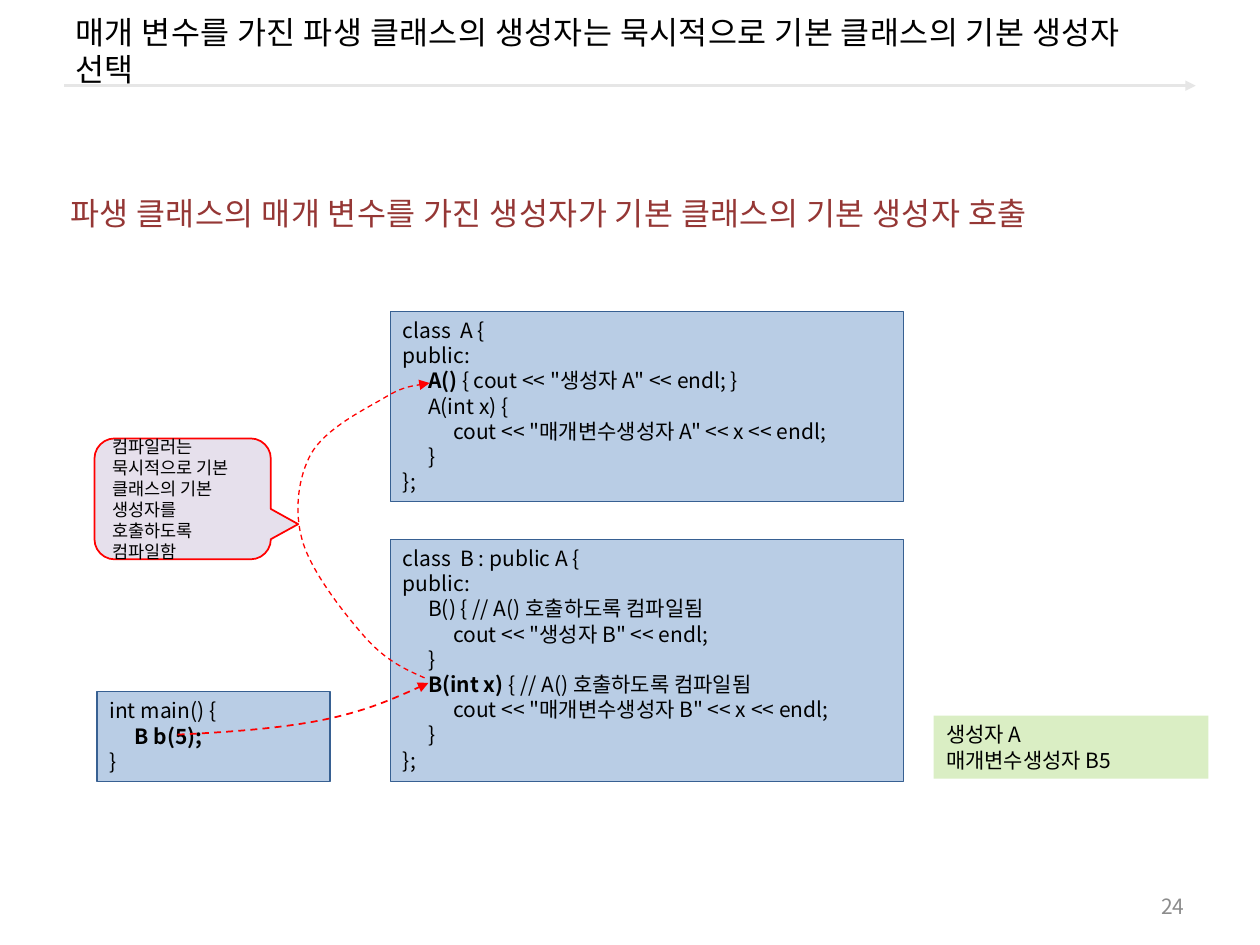
from dataclasses import dataclass

from lxml import etree
from pptx import Presentation
from pptx.dml.color import RGBColor
from pptx.enum.dml import MSO_LINE
from pptx.enum.shapes import MSO_CONNECTOR, MSO_SHAPE
from pptx.enum.text import MSO_ANCHOR, PP_ALIGN
from pptx.oxml.ns import qn
from pptx.util import Inches, Pt

RECTANGLE = MSO_SHAPE.RECTANGLE
CALLOUT = MSO_SHAPE.ROUNDED_RECTANGULAR_CALLOUT
STRAIGHT = MSO_CONNECTOR.STRAIGHT
DASH = MSO_LINE.DASH
TOP, MIDDLE = MSO_ANCHOR.TOP, MSO_ANCHOR.MIDDLE
LEFT, RIGHT = PP_ALIGN.LEFT, PP_ALIGN.RIGHT
TITLE_ONLY = 5


@dataclass(frozen=True)
class Theme:
    font: str = "Noto Sans CJK KR"
    heading_size: int = 18
    heading_tracking: int = 25
    code_size: int = 12
    note_size: int = 10
    line_height: float = 1.2
    tab_step: float = 0.2
    ink: str = "000000"
    heading: str = "953735"
    number: str = "8C8C8C"
    rule: str = "E6E6E6"
    code_fill: str = "B9CDE5"
    code_line: str = "376092"
    output_fill: str = "DAEEC4"
    note_fill: str = "E6E0EC"
    accent: str = "FF0000"


THEME = Theme()

CLASS_A = [
    "class  A {",
    "public:",
    "\t**A() **{ cout << \"생성자 A\" << endl; }",
    "\tA(int x) {",
    "\t\tcout << \"매개변수생성자 A\" << x << endl;",
    "\t}",
    "};",
]
CLASS_B = [
    "class  B : public A {",
    "public:",
    "\tB() { // A() 호출하도록 컴파일됨",
    "\t\tcout << \"생성자 B\" << endl;",
    "\t}",
    "\t**B(int x) **{ // A() 호출하도록 컴파일됨",
    "\t\tcout << \"매개변수생성자 B\" << x << endl;",
    "\t}",
    "};",
]
MAIN_CODE = ["int main() {", "\t**B b(5);**", "}"]
OUTPUT = ["생성자 A", "매개변수생성자 B5"]

CALL_TO_BASE = [
    (3.37, 5.38), (3.21, 5.31), (3.06, 5.24), (2.9, 5.06),
    (2.74, 4.88), (2.47, 4.54), (2.4, 4.29),
    (2.33, 4.05), (2.37, 3.78), (2.47, 3.6),
    (2.58, 3.41), (2.87, 3.26), (3.03, 3.17),
    (3.19, 3.07), (3.3, 3.06), (3.41, 3.04),
]
CALL_TO_DERIVED = [
    (1.41, 5.83), (1.83, 5.81), (2.24, 5.78), (2.58, 5.71),
    (2.91, 5.64), (3.16, 5.53), (3.4, 5.42),
]


def rgb(value):
    return RGBColor.from_string(value)


def inches(values):
    return [Inches(value) for value in values]


def add_tab_stops(para):
    tabs = etree.SubElement(para._p.get_or_add_pPr(), qn("a:tabLst"))
    for level in (1, 2):
        position = Inches(THEME.tab_step * level)
        etree.SubElement(tabs, qn("a:tab"), pos=str(position), algn="l")


def write(frame, lines, size, color=THEME.ink, anchor=TOP, align=LEFT):
    """Fill a text frame; parts between ** marks are bold."""
    frame.word_wrap = True
    frame.vertical_anchor = anchor
    for index, line in enumerate(lines):
        para = frame.add_paragraph() if index else frame.paragraphs[0]
        para.alignment = align
        para.line_spacing = Pt(size * THEME.line_height)
        para.space_before = para.space_after = Pt(0)
        if "\t" in line:
            add_tab_stops(para)
        for part, text in enumerate(line.split("**")):
            if not text:
                continue
            span = para.add_run()
            span.text = text
            font = span.font
            font.name = THEME.font
            font.size = Pt(size)
            font.bold = part % 2 == 1
            font.color.rgb = rgb(color)
            props = span._r.get_or_add_rPr()
            etree.SubElement(props, qn("a:ea"), typeface=THEME.font)
            if size == THEME.heading_size:
                props.set("spc", str(THEME.heading_tracking))


def add_title(page, text):
    title = page.shapes.title
    title.left, title.top, title.width, title.height = inches((0.5, 0.08, 9, 0.64))
    title.text_frame.margin_right = Inches(0.2)
    write(title.text_frame, [text], THEME.heading_size, anchor=MIDDLE)


def add_text(page, place, text, size, color, **layout):
    box = page.shapes.add_textbox(*inches(place))
    write(box.text_frame, [text], size, color, **layout)


def add_panel(page, place, lines, fill, line=None, width=0.75,
              kind=RECTANGLE, size=THEME.code_size, anchor=TOP):
    panel = page.shapes.add_shape(kind, *inches(place))
    panel.shadow.inherit = False
    panel.fill.solid()
    panel.fill.fore_color.rgb = rgb(fill)
    if line:
        panel.line.color.rgb = rgb(line)
        panel.line.width = Pt(width)
    else:
        panel.line.fill.background()
    write(panel.text_frame, lines, size, anchor=anchor)
    return panel


def style_arrow(line, color, width):
    line.color.rgb = rgb(color)
    line.width = Pt(width)
    etree.SubElement(line._get_or_add_ln(), qn("a:tailEnd"), type="triangle")


def add_title_rule(page):
    rule = page.shapes.add_connector(STRAIGHT, *inches((0.51, 0.68, 9.49, 0.68)))
    style_arrow(rule.line, THEME.rule, 1.5)
    etree.SubElement(rule._element.spPr, qn("a:effectLst"))


def add_curved_arrow(page, points, width):
    """Draw cubic curves: a start, then two control points and an end for each."""
    start, *rest = [inches(point) for point in points]
    builder = page.shapes.build_freeform(*start)
    builder.add_line_segments(rest, close=False)
    curve = builder.convert_to_shape()
    segments = list(curve._element.iter(qn("a:lnTo")))
    for first in range(0, len(segments), 3):
        group = segments[first:first + 3]
        bezier = etree.Element(qn("a:cubicBezTo"))
        group[0].addprevious(bezier)
        for segment in group:
            bezier.append(segment[0])
            segment.getparent().remove(segment)
    curve.shadow.inherit = False
    curve.fill.background()
    curve.line.dash_style = DASH
    style_arrow(curve.line, THEME.accent, width)


def add_callout(page, text):
    callout = add_panel(page, (0.75, 3.48, 1.4, 0.96), [text], THEME.note_fill,
                        THEME.accent, 1, CALLOUT, THEME.note_size, MIDDLE)
    for index, value in enumerate((0.655, 0.209, 0.167)):
        callout.adjustments[index] = value


def main():
    deck = Presentation()
    deck.slide_width, deck.slide_height = Inches(10), Inches(7.5)
    page = deck.slides.add_slide(deck.slide_layouts[TITLE_ONLY])

    add_title_rule(page)
    add_title(page, "매개 변수를 가진 파생 클래스의 생성자는 묵시적으로 기본 클래스의 기본 생성자 선택")
    add_text(page, (7.17, 7.03, 2.33, 0.32), "24", THEME.code_size, THEME.number,
             anchor=MIDDLE, align=RIGHT)
    for place, code in (
        ((3.1, 2.47, 4.07, 1.51), CLASS_A),
        ((3.1, 4.28, 4.07, 1.92), CLASS_B),
        ((0.77, 5.49, 1.85, 0.71), MAIN_CODE),
    ):
        add_panel(page, place, code, THEME.code_fill, THEME.code_line)
    add_curved_arrow(page, CALL_TO_BASE, 0.75)
    add_panel(page, (7.41, 5.68, 2.18, 0.5), OUTPUT, THEME.output_fill)
    add_callout(page, "컴파일러는 묵시적으로 기본 클래스의 기본 생성자를 호출하도록 컴파일함")
    add_text(page, (0.46, 1.49, 8.71, 0.4),
             "파생 클래스의 매개 변수를 가진 생성자가 기본 클래스의 기본 생성자 호출",
             THEME.heading_size, THEME.heading)
    add_curved_arrow(page, CALL_TO_DERIVED, 1)

    deck.save("out.pptx")


if __name__ == "__main__":
    main()
